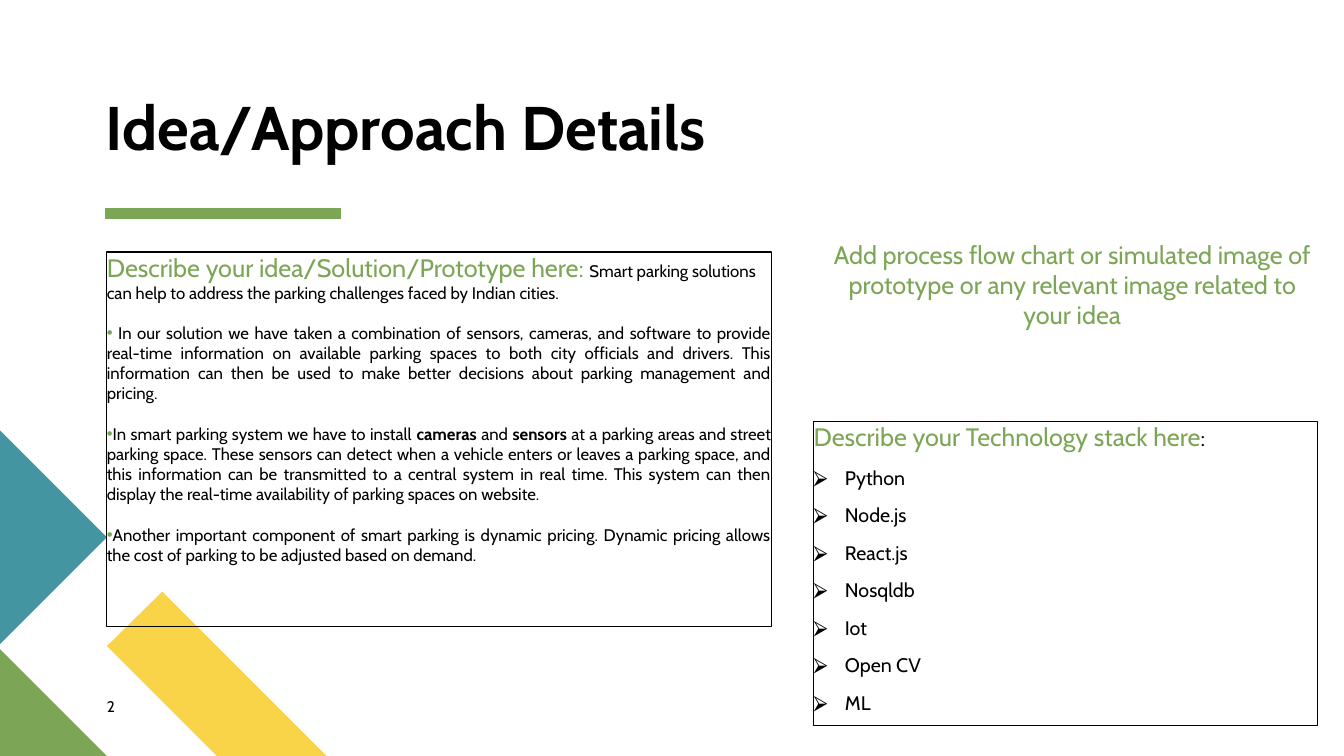
from lxml.etree import SubElement
from pptx import Presentation
from pptx.dml.color import RGBColor
from pptx.enum.shapes import MSO_CONNECTOR
from pptx.enum.text import MSO_ANCHOR, MSO_AUTO_SIZE, PP_ALIGN
from pptx.oxml.ns import qn
from pptx.util import Inches, Pt

GREEN, BLUE, GOLD, BLACK = "7CA655", "4495A2", "F9D448", "000000"


def color(code):
    """Turn a hex string into a colour."""
    return RGBColor.from_string(code)


class Deck:
    """Hold the style and the current slide."""

    def __init__(self, font):
        """Start a wide deck with one two-list slide."""
        self.font = font
        self.prs = Presentation()
        self.prs.slide_width = Inches(13.33)
        self.prs.slide_height = Inches(7.5)
        self.slide = self.prs.slides.add_slide(self.prs.slide_layouts[3])

    def patch(self, points, fill):
        """Draw a filled polygon."""
        spots = [(Inches(x), Inches(y)) for x, y in points]
        pen = self.slide.shapes.build_freeform(*spots[0], scale=1.0)
        pen.add_line_segments(spots[1:], close=True)
        shape = pen.convert_to_shape()
        shape.shadow.inherit = False
        shape.fill.solid()
        shape.fill.fore_color.rgb = color(fill)
        shape.line.fill.background()

    def rule(self, left, right, top, code, width):
        """Draw a level line."""
        line = self.slide.shapes.add_connector(
            MSO_CONNECTOR.STRAIGHT, Inches(left), Inches(top), Inches(right), Inches(top))
        line.line.color.rgb = color(code)
        line.line.width = Pt(width)
        SubElement(line.element.spPr, qn("a:effectLst"))

    def holder(self, index, box, edge=None):
        """Place a template placeholder in front and return its text frame."""
        shape = self.slide.placeholders[index]
        shape.element.getparent().append(shape.element)
        shape.left, shape.top, shape.width, shape.height = map(Inches, box)
        if edge:
            shape.line.color.rgb = color(edge)
            shape.line.width = Pt(0.75)
        return self.frame(shape, 0, 0)

    def label(self, box, side=0, top=0):
        """Add a text box and return its text frame."""
        shape = self.slide.shapes.add_textbox(*map(Inches, box))
        return self.frame(shape, side, top)

    def frame(self, shape, side, top):
        """Set the wrap and margins of a text frame."""
        frame = shape.text_frame
        frame.word_wrap = True
        frame.auto_size = MSO_AUTO_SIZE.NONE
        frame.vertical_anchor = MSO_ANCHOR.TOP
        frame.margin_left = frame.margin_right = Inches(side)
        frame.margin_top = frame.margin_bottom = Inches(top)
        return frame

    def para(self, frame, runs, align=PP_ALIGN.LEFT, gap=0, mark=None, tint=BLACK, indent=0):
        """Write a paragraph from runs of text, size, colour and weight."""
        para = frame.paragraphs[0]
        if para.runs:
            para = frame.add_paragraph()
        para.alignment = align
        para.space_before = Pt(gap)
        props = para._p.get_or_add_pPr()
        props.set("marL", str(Inches(indent)))
        props.set("indent", str(-Inches(indent)))
        if mark:
            tone = SubElement(props, qn("a:buClr"))
            SubElement(tone, qn("a:srgbClr"), val=tint)
            SubElement(props, qn("a:buFont"), typeface="Arial")
            SubElement(props, qn("a:buChar"), char=mark)
        else:
            SubElement(props, qn("a:buNone"))
        for text, size, code, bold in runs:
            run = para.add_run()
            run.text = text
            run.font.name = self.font
            run.font.size = Pt(size)
            run.font.bold = bold
            run.font.color.rgb = color(code)
        return para


def main():
    """Build the slide and save it."""
    deck = Deck("Cabin")
    deck.patch([(3.24, 7.5), (2.15, 7.5), (1.06, 6.41), (1.61, 5.87)], GOLD)
    deck.patch([(1.06, 7.5), (0, 7.5), (0, 6.44)], GREEN)
    deck.patch([(0, 4.27), (1.06, 5.33), (0, 6.39)], BLUE)
    deck.rule(1.04, 3.38, 2.12, GREEN, 8)

    title = deck.holder(0, (1.05, 0.96, 6.05, 0.67))
    title.vertical_anchor = MSO_ANCHOR.BOTTOM
    head = deck.para(title, [("Idea/Approach Details", 44, BLACK, True)])
    head.line_spacing = 0.9

    idea = deck.holder(1, (1.06, 2.5, 6.59, 3.72), BLACK)
    deck.para(idea, [
        ("Describe your idea/Solution/Prototype here: ", 18, GREEN, False),
        ("Smart parking solutions can help to address the parking challenges "
         "faced by Indian cities.", 12, BLACK, False)])
    points = [
        [(" In our solution we have taken a combination of sensors, cameras, and software "
          "to provide real-time information on available parking spaces to both city "
          "officials and drivers. This information can then be used to make better "
          "decisions about parking management and pricing.", False)],
        [("In smart parking system we have to install ", False),
         ("cameras", True), (" and ", False), ("sensors", True),
         (" at a parking areas and street parking space. These sensors can detect when a "
          "vehicle enters or leaves a parking space, and this information can be "
          "transmitted to a central system in real time. This system can then display "
          "the real-time availability of parking spaces on website.", False)],
        [("Another important component of smart parking is dynamic pricing. Dynamic "
          "pricing allows the cost of parking to be adjusted based on demand.", False)],
    ]
    for point in points:
        runs = [(text, 12, BLACK, bold) for text, bold in point]
        deck.para(idea, runs, PP_ALIGN.JUSTIFY, gap=14.5, mark="•", tint=GREEN)

    page = deck.label((1.06, 6.92, 0.57, 0.27))
    deck.para(page, [("2", 11, BLACK, False)])

    hint = deck.label((8.07, 2.32, 5.13, 1.01), 0.1, 0.05)
    deck.para(hint, [("Add process flow chart or simulated image of prototype or any "
                      "relevant image related to your idea", 18, GREEN, False)],
              PP_ALIGN.CENTER)

    stack = deck.holder(2, (8.07, 4.18, 5, 3.02), BLACK)
    deck.para(stack, [("Describe your Technology stack here", 18, GREEN, False),
                      (":", 16, BLACK, False)])
    for tool in ("Python", "Node.js", "React.js", "Nosqldb", "Iot", "Open CV", "ML"):
        deck.para(stack, [(tool, 14, BLACK, False)], gap=10, mark="⮚", indent=0.31)

    deck.prs.save("out.pptx")


if __name__ == "__main__":
    main()
